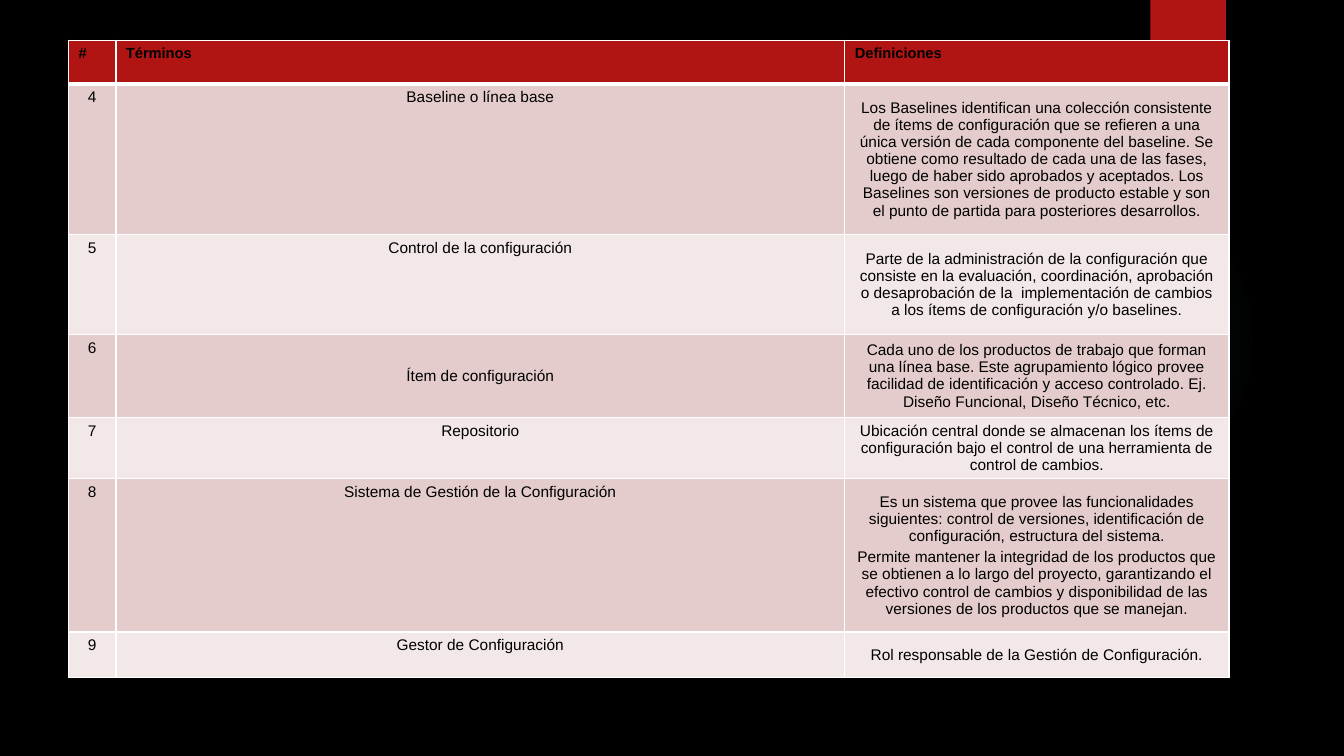
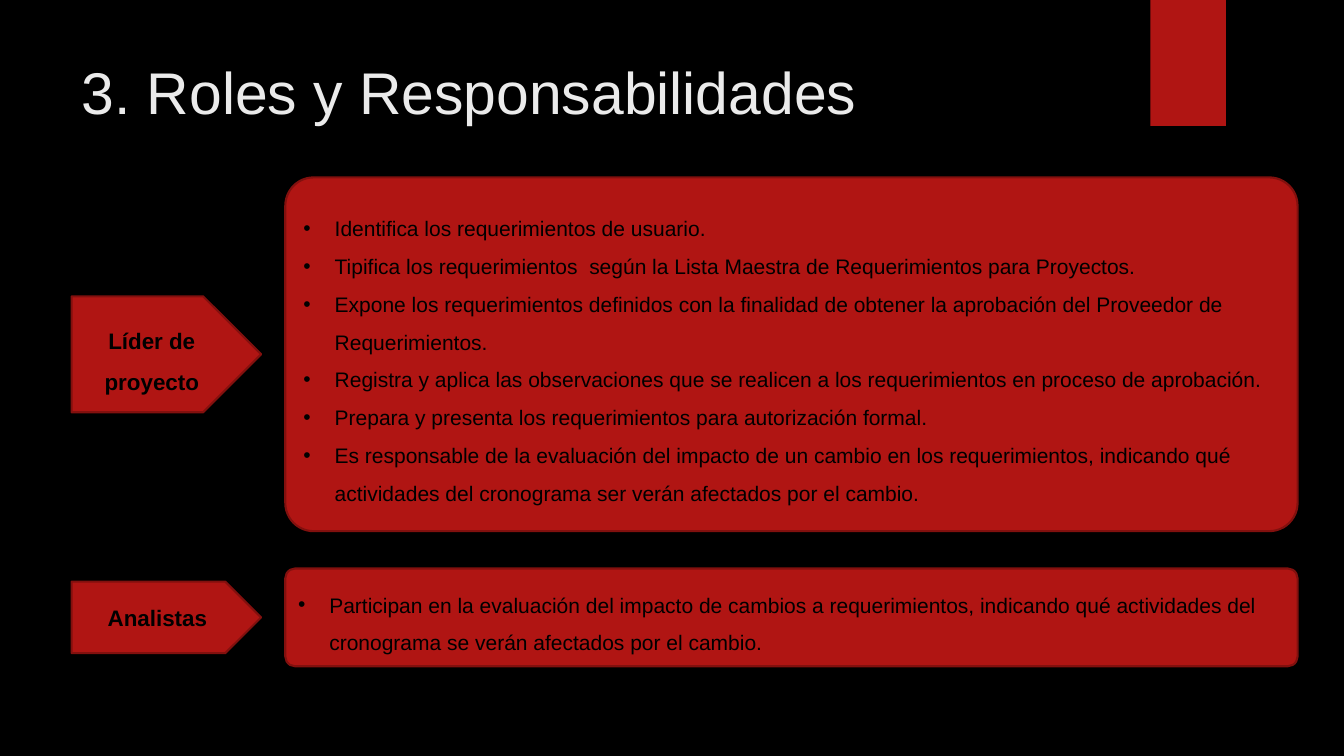
from dataclasses import dataclass

import lxml.etree
import pptx
import pptx.dml.color
import pptx.enum.shapes
import pptx.enum.text
import pptx.oxml
import pptx.oxml.ns
import pptx.presentation
import pptx.shapes.autoshape
import pptx.slide
import pptx.table
import pptx.text.text
import pptx.util

Inches = pptx.util.Inches
Pt = pptx.util.Pt
Shapes = pptx.enum.shapes.MSO_SHAPE
Anchor = pptx.enum.text.MSO_ANCHOR
Align = pptx.enum.text.PP_ALIGN
qn = pptx.oxml.ns.qn

FONT = "Arial"
COLORS = {
    "background": "000000",
    "accent": "B01513",
    "outline": "82100E",
    "text": "000000",
    "title": "EBEBEB",
    "glow": "50B9C1",
    "border": "FFFFFF",
    "odd_row": "E4CCCC",
    "even_row": "F2E8E7",
}


@dataclass(frozen=True)
class Term:
    number: str
    name: str
    definition: tuple[str, ...]
    height: float
    name_anchor: Anchor = Anchor.TOP


@dataclass(frozen=True)
class Role:
    name: str
    duties: tuple[str, ...]
    label_top: float
    label_height: float
    duties_top: float
    duties_height: float
    rounding: float
    label_spacing: float


HEADINGS = ("#", "Términos", "Definiciones")
COLUMN_WIDTHS = (0.47, 7.23, 3.81)
HEADING_HEIGHT = 0.43

TERMS = (
    Term("4", "Baseline o línea base", (
        "Los Baselines identifican una colección consistente de ítems de configuración que se "
        "refieren a una única versión de cada componente del baseline. Se obtiene como resultado "
        "de cada una de las fases, luego de haber sido aprobados y aceptados. Los Baselines son "
        "versiones de producto estable y son el punto de partida para posteriores desarrollos.",
    ), 1.5),
    Term("5", "Control de la configuración", (
        "Parte de la administración de la configuración que consiste en la evaluación, "
        "coordinación, aprobación o desaprobación de la  implementación de cambios a los ítems "
        "de configuración y/o baselines.",
    ), 0.99),
    Term("6", "Ítem de configuración", (
        "Cada uno de los productos de trabajo que forman una línea base. Este agrupamiento lógico "
        "provee facilidad de identificación y acceso controlado. Ej. Diseño Funcional, Diseño "
        "Técnico, etc.",
    ), 0.82, Anchor.MIDDLE),
    Term("7", "Repositorio", (
        "Ubicación central donde se almacenan los ítems de configuración bajo el control de una "
        "herramienta de control de cambios.",
    ), 0.6),
    Term("8", "Sistema de Gestión de la Configuración", (
        "Es un sistema que provee las funcionalidades siguientes: control de versiones, "
        "identificación de configuración, estructura del sistema.",
        "Permite mantener la integridad de los productos que se obtienen a lo largo del proyecto, "
        "garantizando el efectivo control de cambios y disponibilidad de las versiones de los "
        "productos que se manejan.",
    ), 1.52),
    Term("9", "Gestor de Configuración", (
        "Rol responsable de la Gestión de Configuración.",
    ), 0.45),
)

ROLES = (
    Role("Líder de proyecto", (
        "Identifica los requerimientos de usuario.",
        "Tipifica los requerimientos  según la Lista Maestra de Requerimientos para Proyectos.",
        "Expone los requerimientos definidos con la finalidad de obtener la aprobación del "
        "Proveedor de Requerimientos.",
        "Registra y aplica las observaciones que se realicen a los requerimientos en proceso de "
        "aprobación.",
        "Prepara y presenta los requerimientos para autorización formal.",
        "Es responsable de la evaluación del impacto de un cambio en los requerimientos, "
        "indicando qué actividades del cronograma ser verán afectados por el cambio.",
    ), 2.94, 1.15, 1.76, 3.51, 0.08, 1.5),
    Role("Analistas", (
        "Participan en la evaluación del impacto de cambios a requerimientos, indicando qué "
        "actividades del cronograma se verán afectados por el cambio.",
    ), 5.77, 0.71, 5.64, 0.97, 0.1, 1.0),
)


def rgb(name: str) -> pptx.dml.color.RGBColor:
    return pptx.dml.color.RGBColor.from_string(COLORS[name])


def write(paragraph: pptx.text.text._Paragraph, text: str, size: float,
          color: str = "text", bold: bool = False) -> None:
    run = paragraph.add_run()
    run.text = text
    run.font.name = FONT
    run.font.size = Pt(size)
    run.font.bold = bold
    run.font.color.rgb = rgb(color)


def add_filled_shape(slide: pptx.slide.Slide, preset: Shapes, left: float, top: float,
                     width: float, height: float,
                     outline: bool = False) -> pptx.shapes.autoshape.Shape:
    shape = slide.shapes.add_shape(
        preset, Inches(left), Inches(top), Inches(width), Inches(height))
    shape.shadow.inherit = False
    shape.fill.solid()
    shape.fill.fore_color.rgb = rgb("accent")
    if outline:
        shape.line.color.rgb = rgb("outline")
        shape.line.width = Pt(1.5)
    else:
        shape.line.fill.background()
    return shape


def add_band(slide: pptx.slide.Slide) -> None:
    add_filled_shape(slide, Shapes.RECTANGLE, 11.41, 0, 0.75, 1.25)


def add_glow(slide: pptx.slide.Slide) -> None:
    glow = add_filled_shape(slide, Shapes.OVAL, 9.41, 1.83, 3.08, 3.08)
    stops = "".join(
        f'<a:gs pos="{position * 1000}"><a:srgbClr val="{COLORS["glow"]}">'
        f'<a:alpha val="{opacity * 1000}"/></a:srgbClr></a:gs>'
        for position, opacity in ((0, 7), (36, 6), (69, 0)))
    gradient = pptx.oxml.parse_xml(
        f'<a:gradFill {pptx.oxml.ns.nsdecls("a")}><a:gsLst>{stops}</a:gsLst>'
        '<a:path path="circle"><a:fillToRect l="50000" t="50000" r="50000" b="50000"/>'
        '</a:path></a:gradFill>')
    properties = glow.element.spPr
    properties.replace(properties.find(qn("a:solidFill")), gradient)


def set_borders(cell: pptx.table._Cell, top: float, bottom: float) -> None:
    properties = cell._tc.get_or_add_tcPr()
    widths = {"lnL": 1, "lnR": 1, "lnT": top, "lnB": bottom}
    for position, (side, width) in enumerate(widths.items()):
        border = lxml.etree.Element(qn(f"a:{side}"), w=str(Pt(width)))
        paint = lxml.etree.SubElement(border, qn("a:solidFill"))
        lxml.etree.SubElement(paint, qn("a:srgbClr"), val=COLORS["border"])
        properties.insert(position, border)


def fill_cell(cell: pptx.table._Cell, texts: tuple[str, ...], fill: str, size: float,
              align: Align, anchor: Anchor = Anchor.TOP, bold: bool = False,
              top: float = 1, bottom: float = 1) -> None:
    cell.fill.solid()
    cell.fill.fore_color.rgb = rgb(fill)
    cell.vertical_anchor = anchor
    set_borders(cell, top, bottom)
    for index, text in enumerate(texts):
        frame = cell.text_frame
        paragraph = frame.add_paragraph() if index else frame.paragraphs[0]
        paragraph.alignment = align
        if index:
            paragraph.space_before = Pt(2.8)
        write(paragraph, text, size, bold=bold)


def add_glossary(slide: pptx.slide.Slide) -> None:
    heights = (HEADING_HEIGHT, *(term.height for term in TERMS))
    glossary = slide.shapes.add_table(
        len(heights), len(COLUMN_WIDTHS), Inches(0.68), Inches(0.4),
        Inches(sum(COLUMN_WIDTHS)), Inches(sum(heights))).table
    glossary.horz_banding = False
    for column, width in zip(glossary.columns, COLUMN_WIDTHS):
        column.width = Inches(width)
    for row, height in zip(glossary.rows, heights):
        row.height = Inches(height)
    for column, heading in enumerate(HEADINGS):
        fill_cell(glossary.cell(0, column), (heading,), "accent", 10.5,
                  Align.LEFT, bold=True, bottom=3)
    for row, term in enumerate(TERMS, start=1):
        contents = (
            ((term.number,), Anchor.TOP),
            ((term.name,), term.name_anchor),
            (term.definition, Anchor.MIDDLE),
        )
        for column, (texts, anchor) in enumerate(contents):
            fill_cell(glossary.cell(row, column), texts,
                      "odd_row" if row % 2 else "even_row", 11, Align.CENTER, anchor,
                      top=3 if row == 1 else 1)


def add_bullet(paragraph: pptx.text.text._Paragraph) -> None:
    properties = paragraph._p.get_or_add_pPr()
    indent = Inches(0.31)
    properties.set("marL", str(indent))
    properties.set("indent", str(-indent))
    lxml.etree.SubElement(properties, qn("a:buFont"), typeface=FONT)
    lxml.etree.SubElement(properties, qn("a:buChar"), char="•")


def add_role(slide: pptx.slide.Slide, role: Role) -> None:
    label = add_filled_shape(slide, Shapes.PENTAGON, 0.71, role.label_top,
                             1.88, role.label_height, outline=True)
    duties = add_filled_shape(slide, Shapes.ROUNDED_RECTANGLE, 2.83, role.duties_top,
                              10.04, role.duties_height, outline=True)
    duties.adjustments[0] = role.rounding
    for part in (label, duties):
        part.text_frame.word_wrap = True
        part.text_frame.vertical_anchor = Anchor.MIDDLE

    name = label.text_frame.paragraphs[0]
    name.alignment = Align.CENTER
    name.line_spacing = role.label_spacing
    write(name, role.name, 16, bold=True)

    for index, text in enumerate(role.duties):
        frame = duties.text_frame
        duty = frame.add_paragraph() if index else frame.paragraphs[0]
        add_bullet(duty)
        duty.alignment = Align.LEFT
        duty.line_spacing = 1.5
        write(duty, text, 15)


def add_title(slide: pptx.slide.Slide, text: str) -> None:
    title = slide.shapes.title
    title.left, title.top = Inches(0.71), Inches(0.5)
    title.width, title.height = Inches(10.29), Inches(1.53)
    title.text_frame.vertical_anchor = Anchor.TOP
    heading = title.text_frame.paragraphs[0]
    heading.alignment = Align.LEFT
    write(heading, text, 42, "title")


def build_terms(deck: pptx.presentation.Presentation) -> None:
    slide = deck.slides.add_slide(deck.slide_layouts.get_by_name("Blank"))
    add_glow(slide)
    add_band(slide)
    add_glossary(slide)


def build_roles(deck: pptx.presentation.Presentation) -> None:
    slide = deck.slides.add_slide(deck.slide_layouts.get_by_name("Title Only"))
    add_band(slide)
    add_title(slide, "3. Roles y Responsabilidades")
    for role in ROLES:
        add_role(slide, role)


def main() -> None:
    deck = pptx.Presentation()
    deck.slide_width, deck.slide_height = Inches(13.33), Inches(7.5)
    backdrop = deck.slide_master.background.fill
    backdrop.solid()
    backdrop.fore_color.rgb = rgb("background")
    build_terms(deck)
    build_roles(deck)
    deck.save("out.pptx")


if __name__ == "__main__":
    main()
